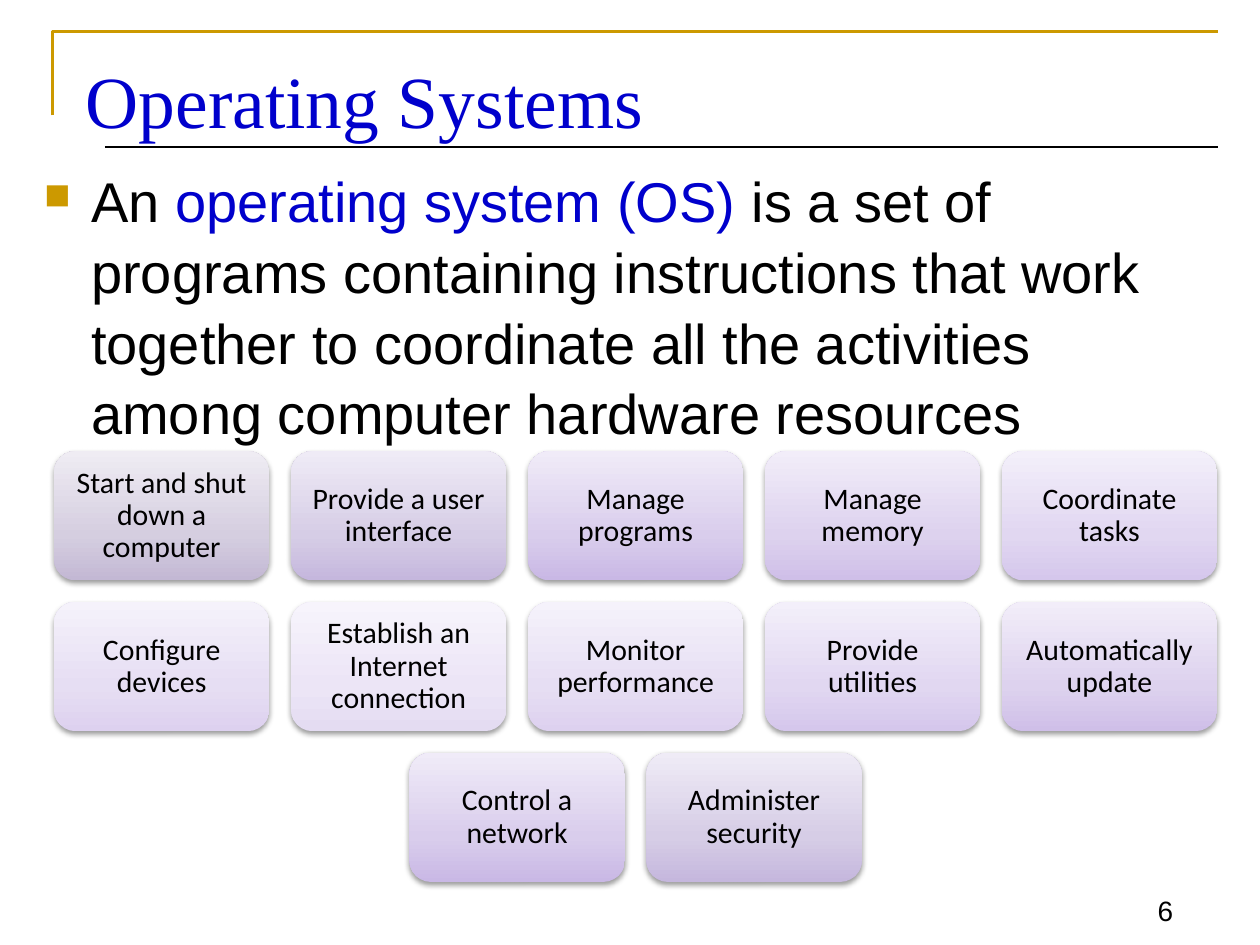
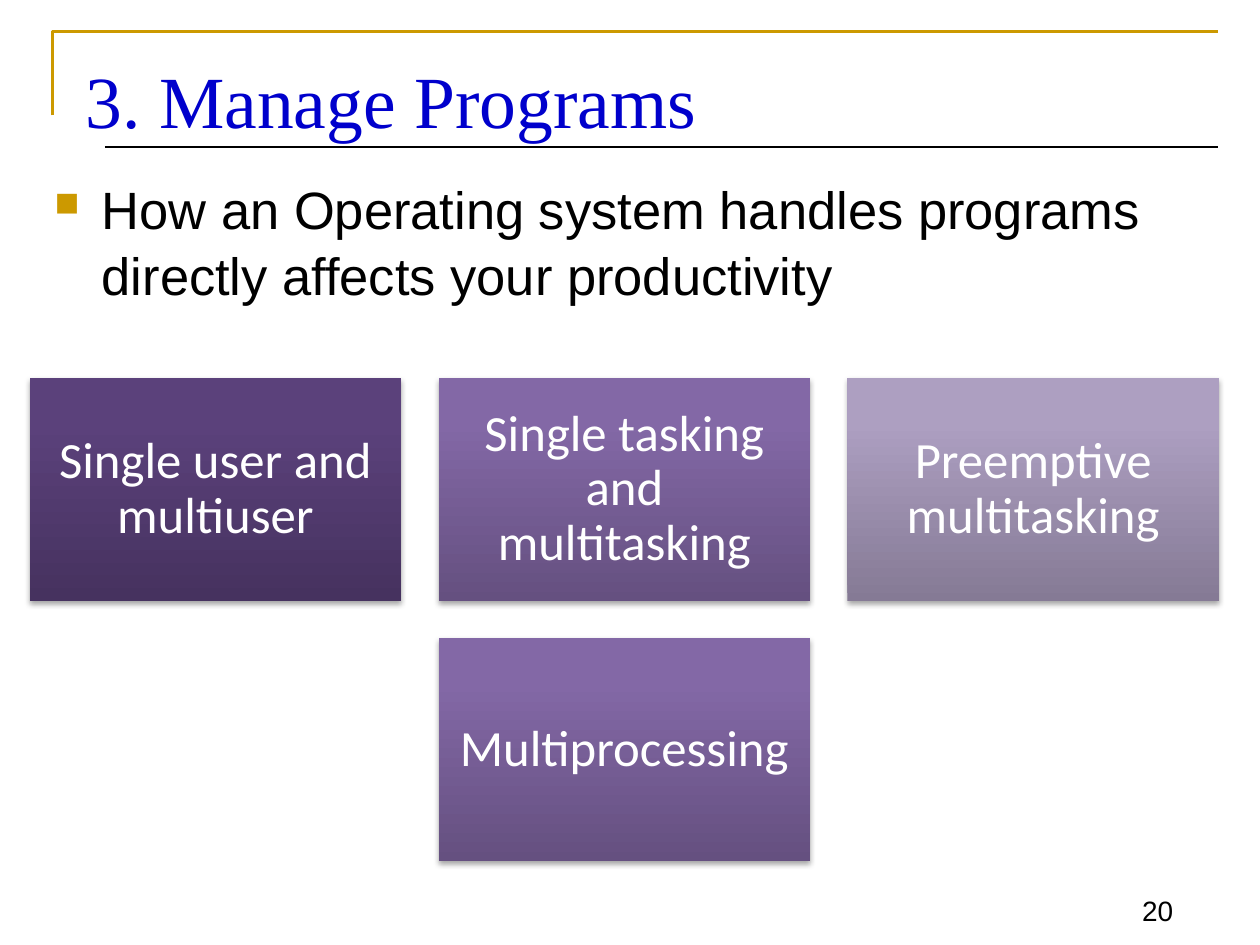
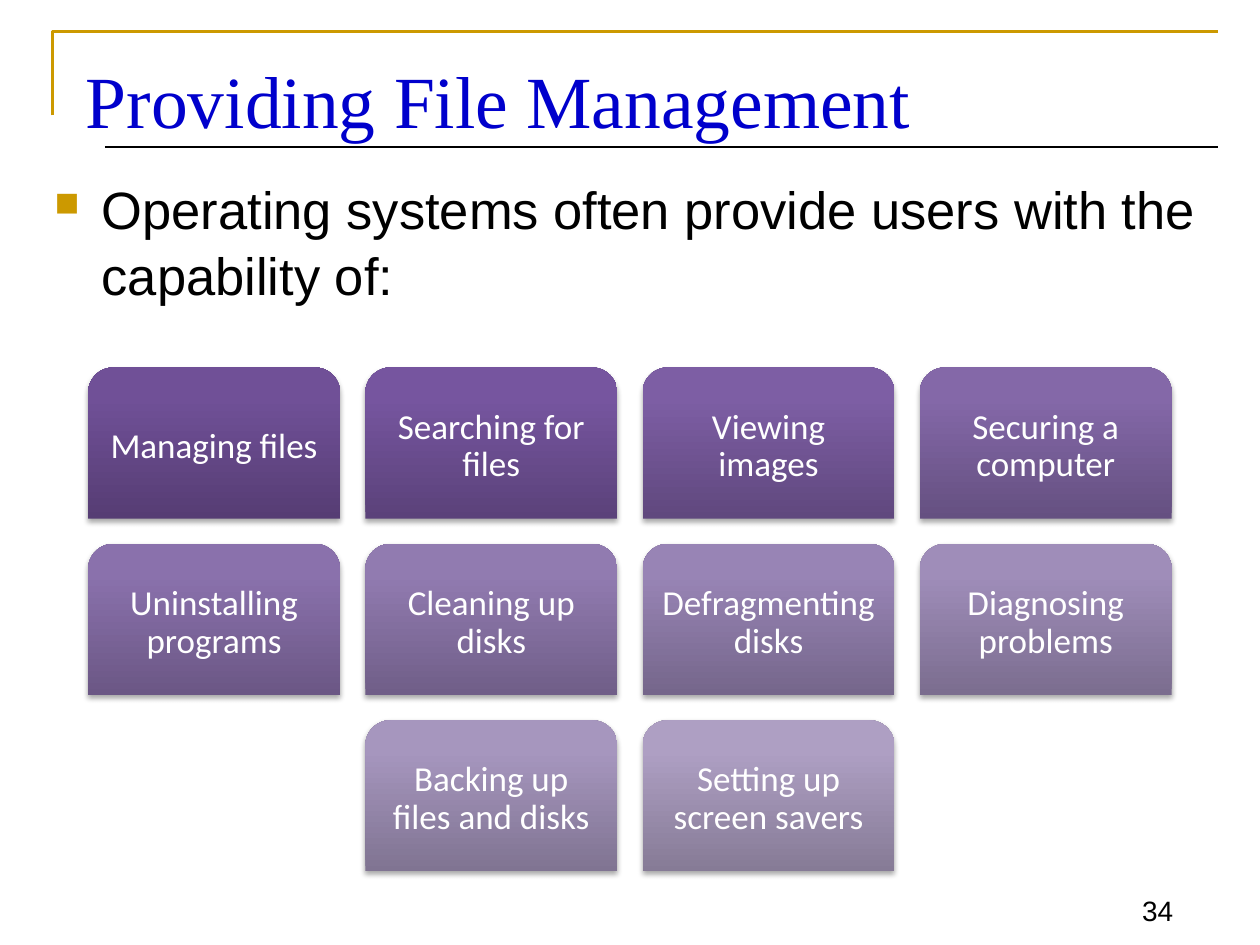
from lxml.etree import SubElement
from pptx import Presentation
from pptx.dml.color import RGBColor
from pptx.enum.shapes import MSO_CONNECTOR, MSO_SHAPE
from pptx.enum.text import MSO_ANCHOR as Anchor, PP_ALIGN as Align
from pptx.oxml.ns import qn
from pptx.util import Pt

COLOURS = {"gold": "CC9900", "blue": "0000CC", "black": "000000", "white": "FFFFFF"}

# Gradient stops of the cards, bottom to top
PALE = ["C3B8D4 D5CEE0 EFECF3", "C5B7DD D6CDE6 EFEBF6", "C9B8E5 D9CDEC F0EBF8",
        "CFBFE8 DDD2EE F2EDF9", "D5C7EC E1D7F1 F3EFFA", "DDD1EF E6DEF3 F5F2FB",
        "E4DCF2 ECE5F6 F7F4FC"]
DEEP = ["46325F 5B417B 5B407C", "655080 8368A6 8368A8", "857A95 AD9FC1 AE9FC3"]
FADING = ["563D74 705097 704F99", "5B427A 76559F 7654A1", "60487E 7D5EA4 7D5DA6",
          "655081 8468A8 8467AA", "6B5785 8A71AC 8B71AE", "705E88 917BB0 927AB2",
          "75668B 9884B5 9984B7", "7B6D8F 9F8DB9 A08DBB", "807492 A696BE A796C0",
          "867B96 AE9FC3 AE9FC4"]

SLIDES = [
    {
        "title": "Operating Systems", "number": "6",
        "body_box": (18, 90, 672, 174), "body_size": 32,
        "body": [("An ", "black"), ("operating system (OS) ", "blue"),
                 ("is a set of programs containing instructions that work together to "
                  "coordinate all the activities among computer hardware resources", "black")],
        "geometry": MSO_SHAPE.ROUNDED_RECTANGLE, "centre": 363.2, "top": 257.8,
        "card_width": 123.1, "inset": 5, "card_size": 17, "card_text": "black",
        "fills": PALE + PALE[-2:0:-1], "middle_stop": 35, "shadow": (38, 1.6),
        "rows": [["Start and shut down a computer", "Provide a user interface",
                  "Manage programs", "Manage memory", "Coordinate tasks"],
                 ["Configure devices", "Establish an Internet connection",
                  "Monitor performance", "Provide utilities", "Automatically update"],
                 ["Control a network", "Administer security"]],
    },
    {
        "title": "3. Manage Programs", "number": "20",
        "body_box": (24, 96, 672, 114), "body_size": 30,
        "body": [("How an Operating system handles programs directly affects "
                  "your productivity", "black")],
        "geometry": MSO_SHAPE.RECTANGLE, "centre": 356.8, "top": 216,
        "card_width": 212.4, "inset": 8.6, "card_size": 29, "card_text": "white",
        "fills": DEEP + DEEP[-2:0:-1], "middle_stop": 80, "shadow": (35, 1.8),
        "rows": [["Single user and multiuser", "Single tasking and multitasking",
                  "Preemptive multitasking"],
                 ["Multiprocessing"]],
    },
    {
        "title": "Providing File Management", "number": "34",
        "body_box": (24, 96, 672, 102), "body_size": 30,
        "body": [("Operating systems often provide users with the capability of:", "black")],
        "geometry": MSO_SHAPE.ROUND_2_SAME_RECTANGLE, "centre": 360, "top": 210,
        "card_width": 144, "inset": 6, "card_size": 20, "card_text": "white",
        "fills": FADING, "middle_stop": 80, "shadow": (35, 1.8),
        "rows": [["Managing files", "Searching for files", "Viewing images",
                  "Securing a computer"],
                 ["Uninstalling programs", "Cleaning up disks", "Defragmenting disks",
                  "Diagnosing problems"],
                 ["Backing up files and disks", "Setting up screen savers"]],
    },
]


def write(shape, runs, size, font, anchor, align):
    """Fill a shape with one paragraph of (text, colour) runs."""
    frame = shape.text_frame
    frame.word_wrap = True
    frame.vertical_anchor = anchor
    paragraph = frame.paragraphs[0]
    paragraph.alignment = align
    for text, colour in runs:
        run = paragraph.add_run()
        run.text = text
        run.font.size = Pt(size)
        run.font.name = font
        run.font.color.rgb = RGBColor.from_string(COLOURS[colour])
    return paragraph


def style_card(shape, stops, middle_stop, shadow):
    """Give a card its three-stop upward gradient and soft shadow."""
    shape.line.fill.background()
    shape.fill.gradient()
    shape.fill.gradient_angle = 90
    stop_list = shape._element.spPr.find(".//" + qn("a:gsLst"))
    for stop in list(stop_list):
        stop_list.remove(stop)
    for position, colour in zip((0, middle_stop, 100), stops.split()):
        stop = SubElement(stop_list, qn("a:gs"), pos=str(position * 1000))
        SubElement(stop, qn("a:srgbClr"), val=colour)
    opacity, distance = shadow
    shape.shadow.inherit = False
    effects = shape._element.spPr.find(qn("a:effectLst"))
    outer = SubElement(effects, qn("a:outerShdw"), blurRad=str(Pt(3.1)),
                       dist=str(Pt(distance)), dir="5400000", rotWithShape="0")
    colour = SubElement(outer, qn("a:srgbClr"), val=COLOURS["black"])
    SubElement(colour, qn("a:alpha"), val=str(opacity * 1000))


presentation = Presentation()
presentation.slide_width, presentation.slide_height = Pt(720), Pt(540)

for content in SLIDES:
    slide = presentation.slides.add_slide(presentation.slide_layouts[6])
    shapes = slide.shapes

    # Gold corner
    builder = shapes.build_freeform(Pt(30), Pt(66))
    builder.add_line_segments([(Pt(30), Pt(18)), (Pt(696), Pt(18))], close=False)
    corner = builder.convert_to_shape()
    corner.fill.background()
    corner.line.color.rgb = RGBColor.from_string(COLOURS["gold"])
    corner.line.width = Pt(1.5)
    corner.shadow.inherit = False

    # Rule below the title
    rule = shapes.add_connector(MSO_CONNECTOR.STRAIGHT, Pt(60), Pt(84), Pt(696), Pt(84))
    rule.line.color.rgb = RGBColor.from_string(COLOURS["black"])
    rule.line.width = Pt(0.75)
    SubElement(rule._element.spPr, qn("a:effectLst"))

    # Slide number and title
    number = shapes.add_textbox(Pt(630), Pt(498), Pt(47.5), Pt(35.5))
    write(number, [(content["number"], "black")], 16, "Arial", Anchor.BOTTOM, Align.RIGHT)
    title = shapes.add_textbox(Pt(42), Pt(24), Pt(654), Pt(65.5))
    write(title, [(content["title"], "blue")], 42, "Times New Roman",
          Anchor.MIDDLE, Align.LEFT)

    # Bulleted statement
    body = shapes.add_textbox(*[Pt(length) for length in content["body_box"]])
    paragraph = write(body, content["body"], content["body_size"], "Arial",
                      Anchor.TOP, Align.LEFT)
    paragraph.line_spacing = 1.05
    paragraph.space_before = Pt(1)
    properties = paragraph._p.get_or_add_pPr()
    properties.set("marL", str(Pt(27)))
    properties.set("indent", str(Pt(-27)))
    bullet_colour = SubElement(properties, qn("a:buClr"))
    SubElement(bullet_colour, qn("a:srgbClr"), val=COLOURS["gold"])
    SubElement(properties, qn("a:buSzPct"), val="65000")
    SubElement(properties, qn("a:buChar"), char="■")

    # Cards in centred rows
    width = content["card_width"]
    height, gap = 0.6 * width, 0.1 * width
    fills = iter(content["fills"])
    for row_index, row in enumerate(content["rows"]):
        row_width = len(row) * (width + gap) - gap
        left = content["centre"] - row_width / 2
        top = content["top"] + row_index * (height + gap)
        for column, label in enumerate(row):
            card = shapes.add_shape(content["geometry"], Pt(left + column * (width + gap)),
                                    Pt(top), Pt(width), Pt(height))
            style_card(card, next(fills), content["middle_stop"], content["shadow"])
            paragraph = write(card, [(label, content["card_text"])], content["card_size"],
                              "Calibri", Anchor.MIDDLE, Align.CENTER)
            paragraph.line_spacing = 0.9
            frame = card.text_frame
            frame.margin_left = frame.margin_right = Pt(content["inset"])
            frame.margin_top = frame.margin_bottom = Pt(content["inset"])

presentation.save("out.pptx")
